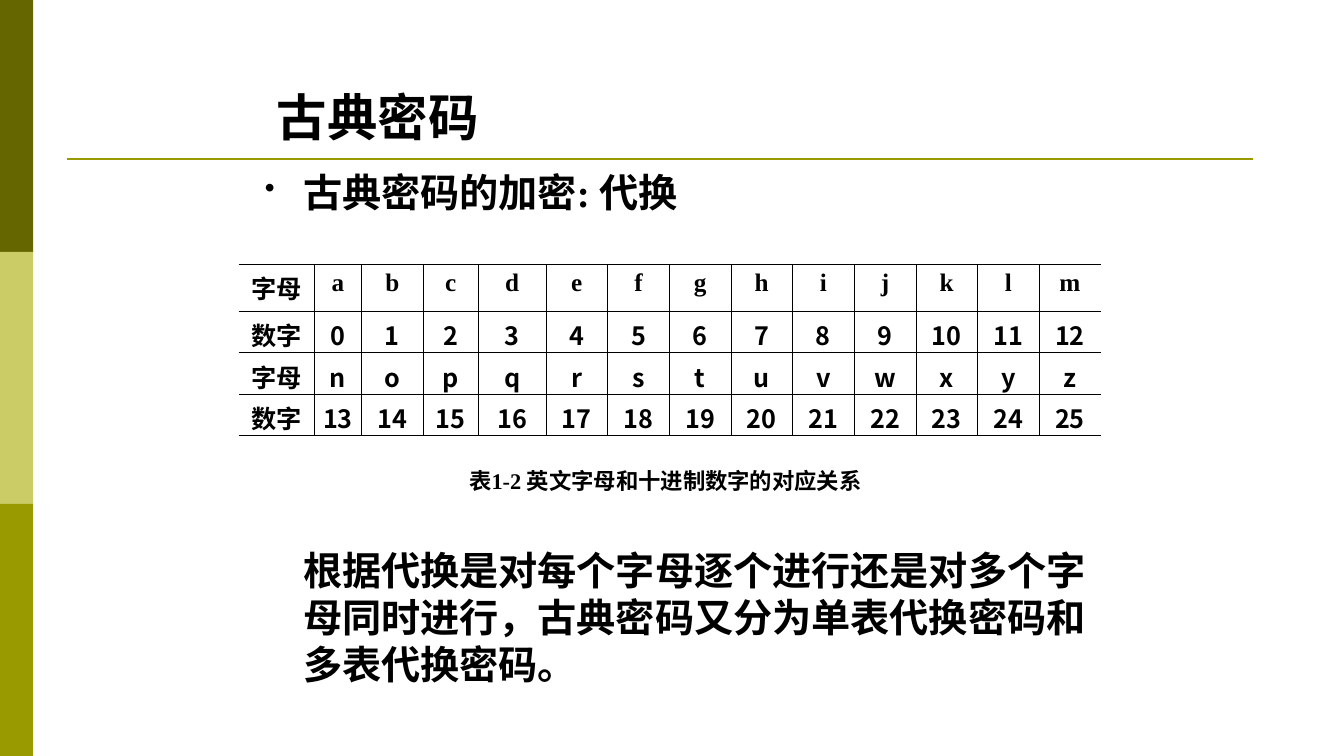
from lxml import etree
from pptx import Presentation
from pptx.dml.color import RGBColor
from pptx.enum.shapes import MSO_CONNECTOR as Connector, MSO_SHAPE as Shape
from pptx.enum.text import PP_ALIGN as Align
from pptx.oxml.ns import qn
from pptx.util import Inches, Pt

BLACK = RGBColor(0x00, 0x00, 0x00)
DARK_OLIVE = RGBColor(0x66, 0x66, 0x00)
LIGHT_OLIVE = RGBColor(0xCC, 0xCC, 0x66)
OLIVE = RGBColor(0x99, 0x99, 0x00)
SANS = "Noto Sans CJK SC"
SERIF = "Times New Roman"

# The page is a grid of tenth-inch cells
PAGE_COLUMNS, PAGE_ROWS = 133.4, 75
HANGING = 3.8

LETTERS = "abcdefghijklmnopqrstuvwxyz"
HALF = len(LETTERS) // 2
COLUMN_WIDTHS = [7.5, 4.7, 6.1, 5.5, 6.7] + [6.12] * 9
ROW_HEIGHTS = [4.7, 4.1, 4.1, 4.1]


def cells(count):
    return Inches(count / 10)


def style_text(para, size, latin):
    for span in para.runs:
        font = span.font
        font.size, font.bold, font.name = Pt(size), True, latin
        font.color.rgb = BLACK
        east_asian = etree.SubElement(span._r.get_or_add_rPr(), qn("a:ea"))
        east_asian.set("typeface", SANS)


def add_band(page, top, height, color):
    band = page.shapes.add_shape(Shape.RECTANGLE, 0, cells(top), cells(3.3), cells(height))
    band.shadow.inherit = False
    band.fill.solid()
    band.fill.fore_color.rgb = color
    band.line.fill.background()


def add_rule(page, left, right, row):
    rule = page.shapes.add_connector(
        Connector.STRAIGHT, cells(left), cells(row), cells(right), cells(row))
    rule.line.color.rgb = OLIVE
    rule.line.width = Pt(1.5)
    etree.SubElement(rule._element.spPr, qn("a:effectLst"))


def add_text_frame(page, left, top, width, height):
    box = page.shapes.add_textbox(cells(left), cells(top), cells(width), cells(height))
    box.text_frame.word_wrap = True
    return box.text_frame


def format_body(para, size, latin, before, margin, bullet=False):
    para.line_spacing = Pt(size * 1.2)
    para.space_before = Pt(before)
    properties = para._p.get_or_add_pPr()
    properties.set("marL", str(cells(margin)))
    if bullet:
        properties.set("indent", str(-cells(HANGING)))
        etree.SubElement(properties, qn("a:buSzPct")).set("val", "75000")
        etree.SubElement(properties, qn("a:buChar")).set("char", "•")
    style_text(para, size, latin)


def set_borders(cell, sides):
    """Draw the named sides and leave the others open."""
    properties = cell._tc.get_or_add_tcPr()
    for position, side in enumerate("LRTB"):
        border = etree.Element(qn(f"a:ln{side}"), w=str(Pt(0.45)))
        properties.insert(position, border)
        if side in sides:
            fill = etree.SubElement(border, qn("a:solidFill"))
            etree.SubElement(fill, qn("a:srgbClr")).set("val", str(BLACK))
        else:
            etree.SubElement(border, qn("a:noFill"))


def add_letter_table(page, left, top):
    rows = []
    for start in (0, HALF):
        rows.append(["字母", *LETTERS[start:start + HALF]])
        rows.append(["数字", *map(str, range(start, start + HALF))])
    table = page.shapes.add_table(
        len(rows), len(COLUMN_WIDTHS), cells(left), cells(top),
        cells(sum(COLUMN_WIDTHS)), cells(sum(ROW_HEIGHTS))).table
    table.first_row = table.horz_banding = False
    for column, width in zip(table.columns, COLUMN_WIDTHS):
        column.width = cells(width)
    for row, height in zip(table.rows, ROW_HEIGHTS):
        row.height = cells(height)

    for row_index, values in enumerate(rows):
        for column_index, value in enumerate(values):
            cell = table.cell(row_index, column_index)
            cell.margin_left = cell.margin_right = cells(0.7)
            cell.margin_top, cell.margin_bottom = cells(0.5), 0
            cell.fill.background()
            cell.text_frame.text = value
            para = cell.text_frame.paragraphs[0]
            para.alignment = Align.CENTER
            serif = row_index == 0 and column_index > 0
            style_text(para, 18, SERIF if serif else SANS)
            sides = "TB"
            if column_index > 0:
                sides += "L"
            if column_index < HALF:
                sides += "R"
            set_borders(cell, sides)


def main():
    deck = Presentation()
    deck.slide_width, deck.slide_height = cells(PAGE_COLUMNS), cells(PAGE_ROWS)
    page = deck.slides.add_slide(deck.slide_layouts[6])

    # Side bands and title rule
    band_height = PAGE_ROWS / 3
    for index, color in enumerate((DARK_OLIVE, LIGHT_OLIVE, OLIVE)):
        add_band(page, index * band_height, band_height, color)
    add_rule(page, 6.7, 124.4, 15.8)

    # Title
    title = add_text_frame(page, 26.5, 8.1, 81.9, 8.3)
    title.text = "古典密码"
    style_text(title.paragraphs[0], 36, SANS)

    # Heading, table caption and explanation
    body = add_text_frame(page, 25.3, 16.2, 84.3, 56.8)
    body.text = "\n".join((
        "古典密码的加密: 代换",
        "表1-2 英文字母和十进制数字的对应关系",
        "根据代换是对每个字母逐个进行还是对多个字母同时进行，"
        "古典密码又分为单表代换密码和多表代换密码。"))
    heading, caption, explanation = body.paragraphs
    format_body(heading, 28, SERIF, 0, HANGING, bullet=True)
    format_body(caption, 16, SERIF, 180, 20.3)
    format_body(explanation, 28, SANS, 37, HANGING)

    # Letters and their numbers
    add_letter_table(page, 23.7, 26.2)

    deck.save("out.pptx")


if __name__ == "__main__":
    main()
